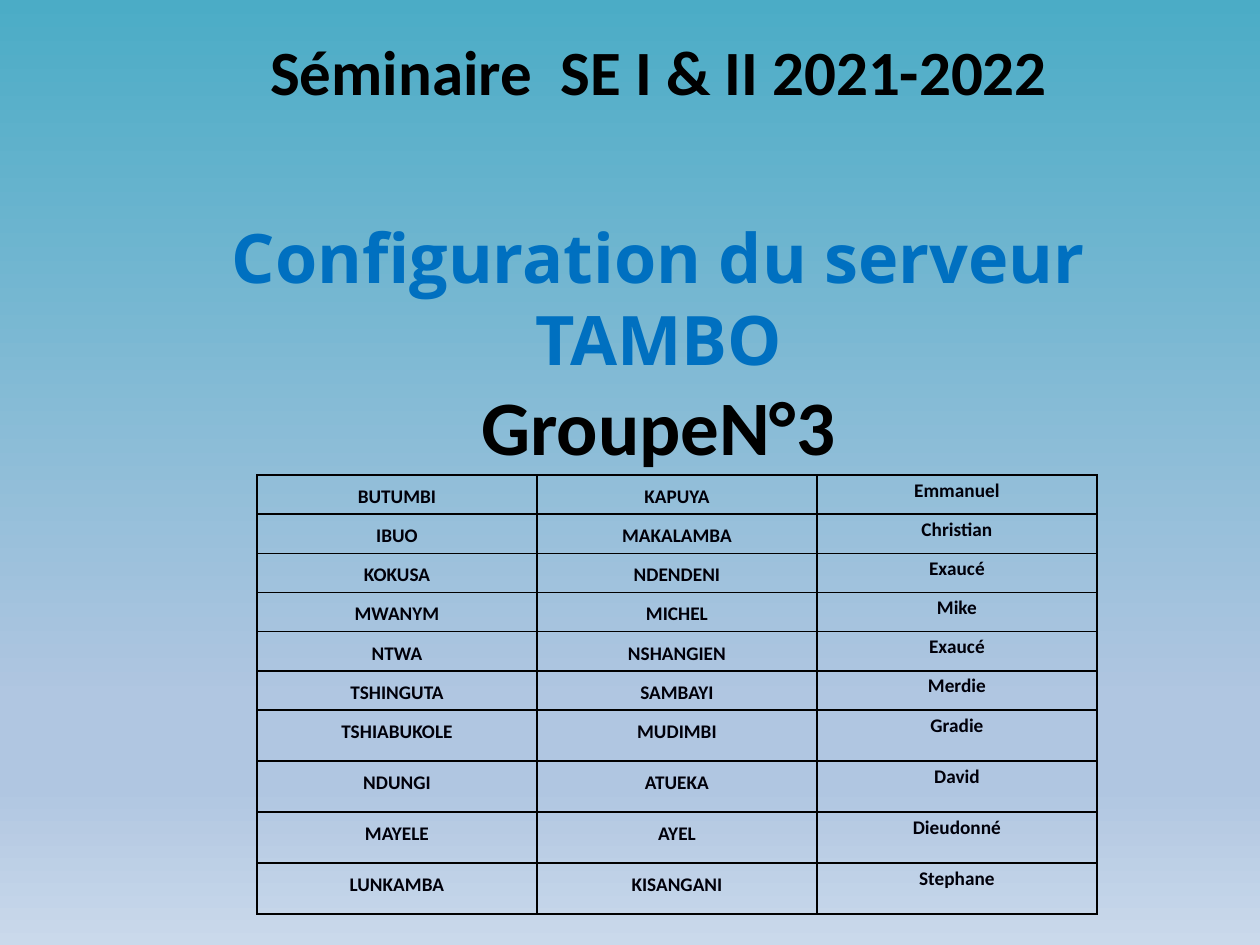
from dataclasses import dataclass

from lxml.etree import SubElement
from pptx import Presentation
from pptx.dml.color import RGBColor
from pptx.enum.text import MSO_ANCHOR, PP_ALIGN
from pptx.oxml import parse_xml
from pptx.oxml.ns import nsdecls, qn
from pptx.util import Pt

EMU_PER_PX = 914400 / 126
COLORS = {
    "black": "000000", "ink": "00000A", "blue": "0070C0",
    "teal": "4BACC6", "haze": "B0C6E1", "pale": "CAD9EB",
}
SKY = [(0, "teal"), (74, "haze"), (83, "haze"), (100, "pale")]
BORDERS = ("a:lnL", "a:lnR", "a:lnT", "a:lnB")


@dataclass(frozen=True)
class Style:
    """Look of a text run."""
    font: str
    size: float
    color: str


@dataclass(frozen=True)
class Heading:
    """Centred text box with one style for each line."""
    text: str
    box: tuple[int, int, int, int]
    styles: tuple[Style, ...]


@dataclass(frozen=True)
class Member:
    """One row of the group table."""
    name: str
    middle: str
    first: str
    height: int = 39


HEADINGS = [
    Heading("Configuration du serveur TAMBO\vGroupeN°3", (123, 229, 1071, 228),
            (Style("Open Sans", 39, "blue"), Style("Calibri", 44, "black"))),
    Heading("Séminaire  SE I & II 2021-2022", (257, 26, 804, 89),
            (Style("Calibri", 36, "black"),)),
]
CELL_STYLE = Style("Calibri", 11, "ink")
MEMBERS = [
    Member("BUTUMBI", "KAPUYA", "Emmanuel"),
    Member("IBUO", "MAKALAMBA", "Christian"),
    Member("KOKUSA", "NDENDENI", "Exaucé"),
    Member("MWANYM", "MICHEL", "Mike"),
    Member("NTWA", "NSHANGIEN", "Exaucé"),
    Member("TSHINGUTA", "SAMBAYI", "Merdie"),
    Member("TSHIABUKOLE", "MUDIMBI", "Gradie", 51),
    Member("NDUNGI", "ATUEKA", "David", 51),
    Member("MAYELE", "AYEL", "Dieudonné", 51),
    Member("LUNKAMBA", "KISANGANI", "Stephane", 51),
]


def px(n: float) -> int:
    """Turn pixels into EMU."""
    return round(n * EMU_PER_PX)


def paint_background(s) -> None:
    """Fill the slide with the vertical sky gradient."""
    stops = "".join(
        f'<a:gs pos="{pos * 1000}"><a:srgbClr val="{COLORS[c]}"/></a:gs>'
        for pos, c in SKY)
    s.element.cSld.insert(0, parse_xml(
        f'<p:bg {nsdecls("p", "a")}><p:bgPr><a:gradFill rotWithShape="1">'
        f'<a:gsLst>{stops}</a:gsLst><a:lin ang="5400000" scaled="0"/>'
        '</a:gradFill><a:effectLst/></p:bgPr></p:bg>'))


def format_text(p, styles: tuple[Style, ...], spacing: float = 1.0) -> None:
    """Centre a paragraph and style its runs in turn."""
    p.alignment = PP_ALIGN.CENTER
    p.line_spacing = spacing
    for r, style in zip(p.runs, styles):
        r.font.name = style.font
        r.font.size = Pt(style.size)
        r.font.bold = True
        r.font.color.rgb = RGBColor.from_string(COLORS[style.color])


def add_heading(s, heading: Heading) -> None:
    """Draw one heading."""
    tf = s.shapes.add_textbox(*map(px, heading.box)).text_frame
    tf.word_wrap = True
    tf.vertical_anchor = MSO_ANCHOR.MIDDLE
    p = tf.paragraphs[0]
    p.text = heading.text
    format_text(p, heading.styles)


def add_borders(cell) -> None:
    """Outline a cell with thin black lines."""
    tcPr = cell._tc.get_or_add_tcPr()
    for i, tag in enumerate(BORDERS):
        ln = parse_xml(f'<{tag} {nsdecls("a")} w="{Pt(1)}"/>')
        fill = SubElement(ln, qn("a:solidFill"))
        SubElement(fill, qn("a:srgbClr"), val=COLORS["black"])
        tcPr.insert(i, ln)


def add_members(s, members: list[Member]) -> None:
    """Draw the table of group members."""
    height = sum(m.height for m in members)
    table = s.shapes.add_table(
        len(members), 3, px(257), px(475), px(840), px(height)).table
    table.first_row = table.horz_banding = False
    for row, m in zip(table.rows, members):
        row.height = px(m.height)
        for col, text in enumerate((m.name, m.middle, m.first)):
            cell = row.cells[col]
            cell.fill.background()
            if col == 2:
                cell.margin_left = cell.margin_right = 0
                cell.margin_top = cell.margin_bottom = 0
            p = cell.text_frame.paragraphs[0]
            p.text = text
            format_text(p, (CELL_STYLE,), 1.15)
            add_borders(cell)


def main() -> None:
    """Build the slide and save it."""
    prs = Presentation()
    prs.slide_width, prs.slide_height = px(1260), px(945)
    s = prs.slides.add_slide(prs.slide_layouts[6])
    paint_background(s)
    for heading in HEADINGS:
        add_heading(s, heading)
    add_members(s, MEMBERS)
    prs.save("out.pptx")


main()
